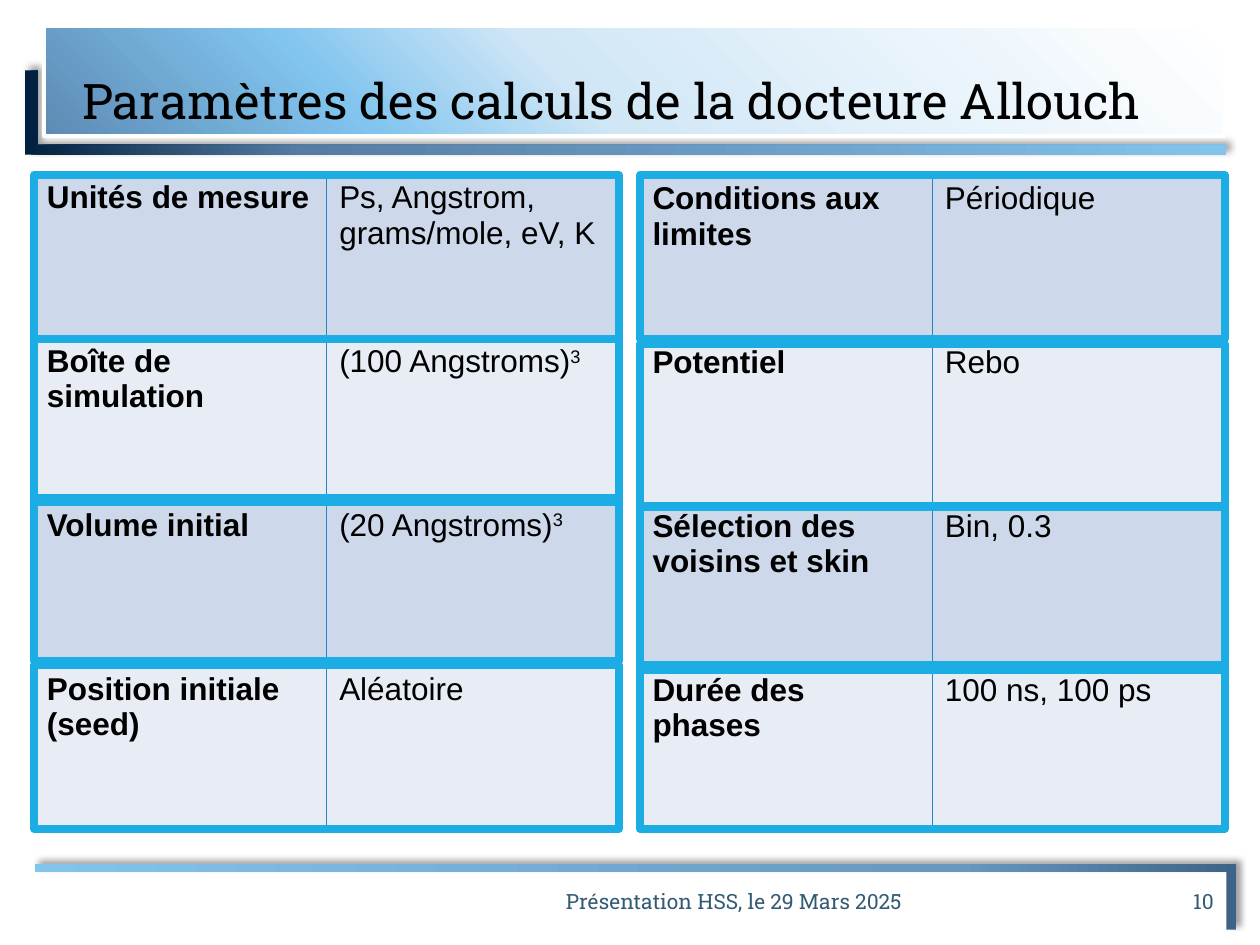
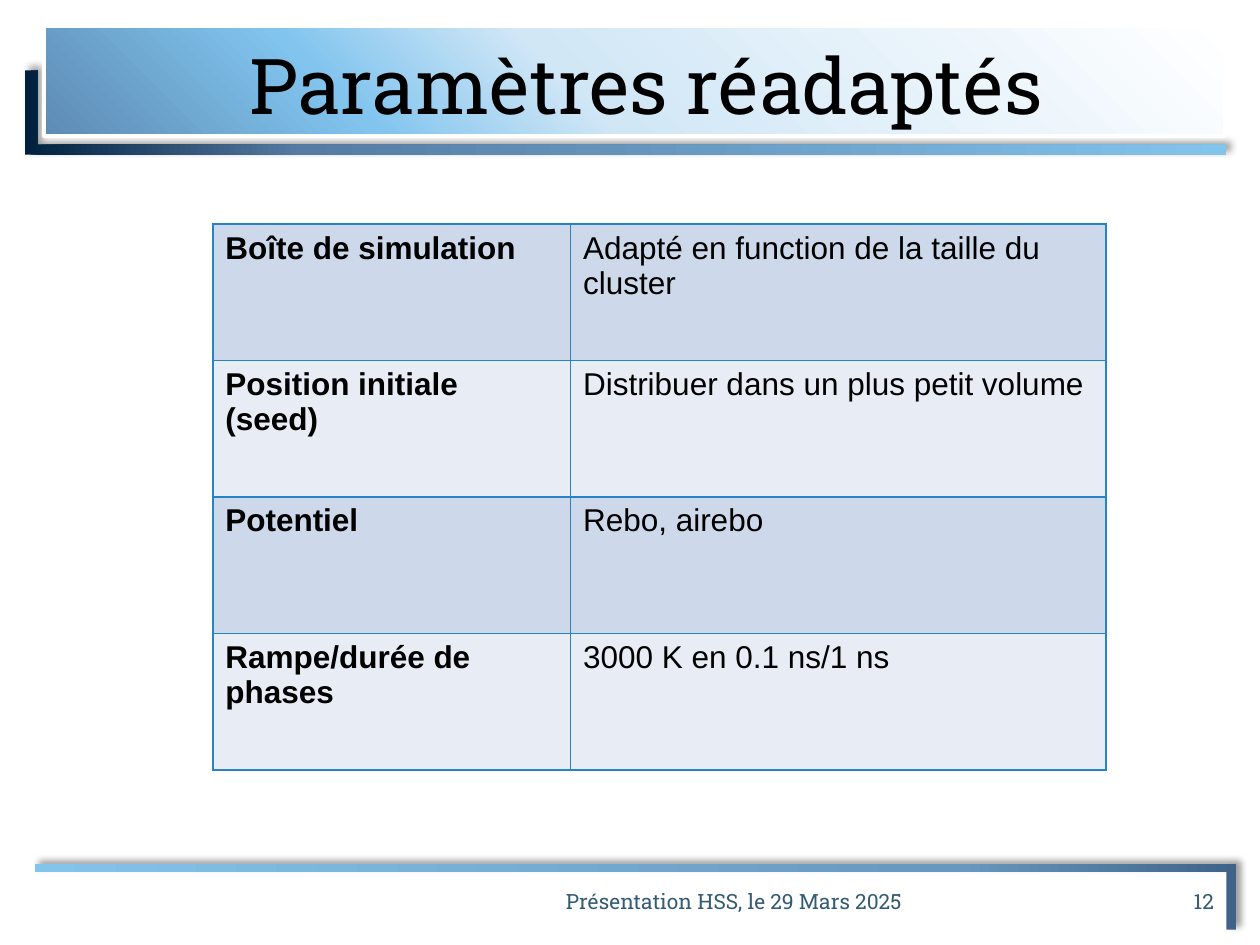
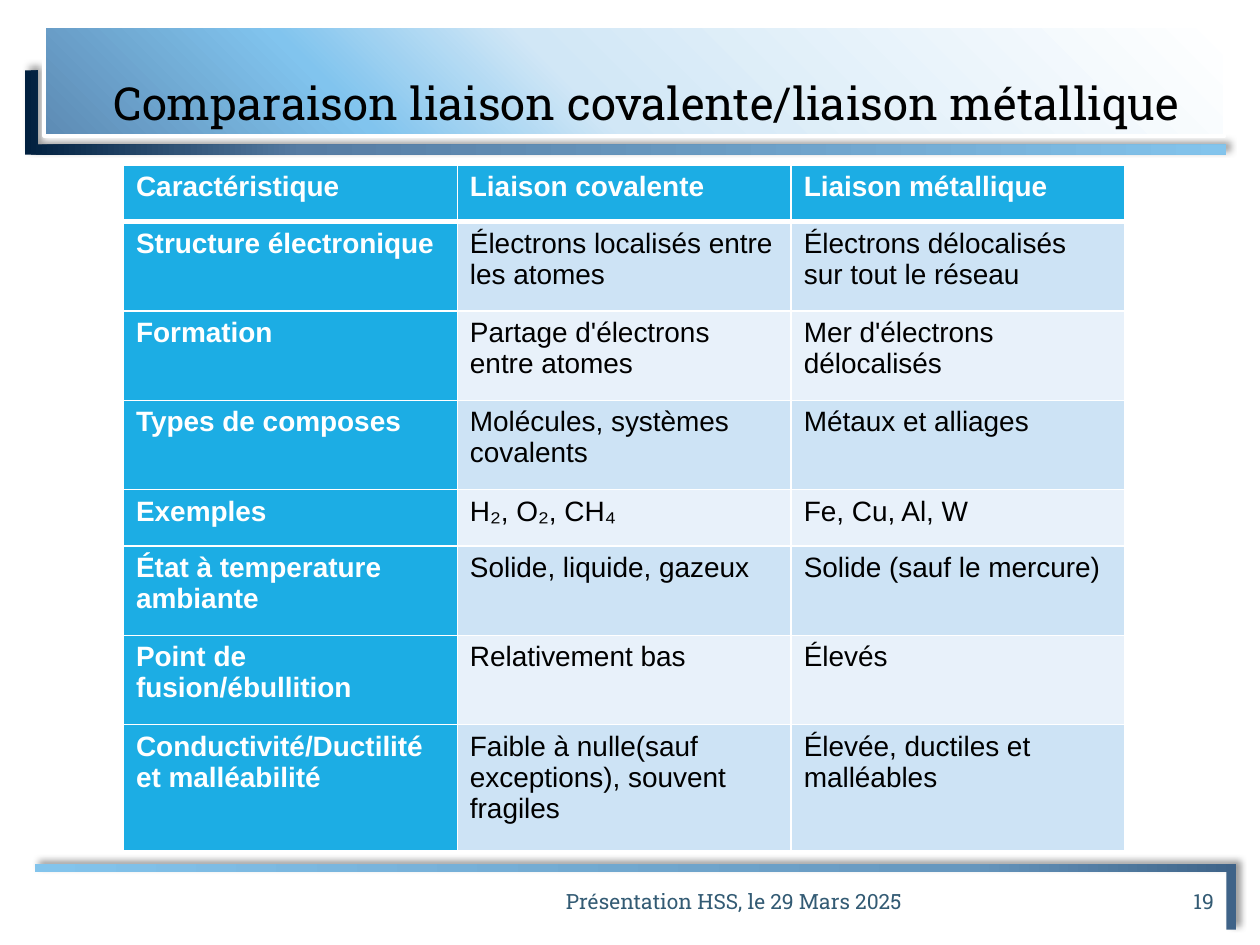
from lxml.etree import SubElement
from pptx import Presentation
from pptx.dml.color import RGBColor
from pptx.enum.shapes import MSO_SHAPE as Preset
from pptx.enum.text import MSO_ANCHOR as Anchor, MSO_AUTO_SIZE as AutoSize, PP_ALIGN as Align
from pptx.oxml.ns import qn
from pptx.util import Cm, Pt

HEADING_FONT = "Roboto Slab"
BODY_FONT = "Arial"
BLACK, WHITE, CYAN = "000000", "FFFFFF", "1CADE4"
FOOTER_COLOR, GRID_COLOR = "335B74", "2683C6"
PARAMETER_BANDS = ("CDD9EA", "E8EDF5")
COMPARISON_BANDS = ("CDE3F5", "E8F1FA")
TITLE_STOPS = ((0, "5D8BB4"), (26, "81C4EE"), (45, "D1E7F6"), (100, WHITE))
TOP_STOPS = ((0, "01203F"), (23, "567CA3"), (100, "83C4EC"))
BOTTOM_STOPS = ((0, "3F6388"), (23, "6798BF"), (100, "83C4EC"))
FOOTER = "Présentation HSS, le 29 Mars 2025"
PARAMETER_WIDTH, PARAMETER_ROW = 11.79, 3.3

CALCULATION_BLOCKS = (
    (0.69, 3.51, (3.53, 6.83, 10.03, 13.41), (
        ("Unités de mesure", "Ps, Angstrom, grams/mole, eV, K"),
        ("Boîte de simulation", ("(100 Angstroms)", "3")),
        ("Volume initial", ("(20 Angstroms)", "3")),
        ("Position initiale (seed)", "Aléatoire"),
    )),
    (12.9, 3.53, (3.53, 6.93, 10.21, 13.41), (
        ("Conditions aux limites", "Périodique"),
        ("Potentiel", "Rebo"),
        ("Sélection des voisins et skin", "Bin, 0.3"),
        ("Durée des phases", "100 ns, 100 ps"),
    )),
)
ADAPTED_ROWS = (
    ("Boîte de simulation", "Adapté en function de la taille du cluster"),
    ("Position initiale (seed)", "Distribuer dans un plus petit volume"),
    ("Potentiel", "Rebo, airebo"),
    ("Rampe/durée de phases", "3000 K en 0.1 ns/1 ns"),
)
COMPARISON_ROWS = (
    ("Caractéristique", "Liaison covalente", "Liaison métallique"),
    ("Structure électronique", "Électrons localisés entre les atomes",
     "Électrons délocalisés sur tout le réseau"),
    ("Formation", "Partage d'électrons entre atomes", "Mer d'électrons délocalisés"),
    ("Types de composes", "Molécules, systèmes covalents", "Métaux et alliages"),
    ("Exemples", "H₂, O₂, CH₄", "Fe, Cu, Al, W"),
    ("État à temperature ambiante", "Solide, liquide, gazeux", "Solide (sauf le mercure)"),
    ("Point de fusion/ébullition", "Relativement bas", "Élevés"),
    ("Conductivité/Ductilité et malléabilité",
     "Faible à nulle(sauf exceptions), souvent fragiles", "Élevée, ductiles et malléables"),
)


def rgb(value):
    """Turn a hex string into a colour."""
    return RGBColor.from_string(value)


def write_text(frame, text, size, color=BLACK, font=BODY_FONT, bold=False, align=Align.LEFT,
               superscript="", indent=0, line_spacing=None, space_after=0):
    """Write one formatted paragraph, with an optional superscript at its end."""
    paragraph = frame.paragraphs[0]
    paragraph.alignment = align
    paragraph.line_spacing = line_spacing
    paragraph.space_after = Pt(space_after)
    if indent:
        paragraph._p.get_or_add_pPr().set("marL", str(Cm(indent)))
    for part, baseline in ((text, 0), (superscript, 30000)):
        if not part:
            continue
        run = paragraph.add_run()
        run.text = part
        run.font.size, run.font.name, run.font.bold = Pt(size), font, bold
        run.font.color.rgb = rgb(color)
        if baseline:
            run._r.get_or_add_rPr().set("baseline", str(baseline))


def fill_gradient(shape, stops, angle=0):
    """Fill a shape with a linear gradient of (percent, colour) stops."""
    shape.fill.gradient()
    shape.fill.gradient_angle = angle
    stop_list = shape.element.spPr.find(qn("a:gradFill")).find(qn("a:gsLst"))
    for stop in list(stop_list):
        stop_list.remove(stop)
    for percent, color in stops:
        stop = SubElement(stop_list, qn("a:gs"), pos=str(percent * 1000))
        SubElement(stop, qn("a:srgbClr"), val=color)


def add_shadow(shape):
    """Give a shape a soft shadow towards the upper right."""
    shape.shadow.inherit = False
    effects = shape.element.spPr.find(qn("a:effectLst"))
    shadow = SubElement(effects, qn("a:outerShdw"), blurRad=str(Pt(4)), dist=str(Pt(3)),
                        dir=str(315 * 60000), algn="bl", rotWithShape="0")
    color = SubElement(shadow, qn("a:srgbClr"), val=BLACK)
    SubElement(color, qn("a:alpha"), val="40000")


def add_corner(slide, left, top, height, stops, flipped=False):
    """Draw an L-shaped band and move it to the layout of the slide."""
    corner = slide.shapes.add_shape(Preset.CORNER, Cm(left), Cm(top), Cm(24.21), Cm(height))
    corner.adjustments[0], corner.adjustments[1] = 0.12, 0.15
    fill_gradient(corner, stops)
    corner.line.fill.background()
    add_shadow(corner)
    if flipped:
        transform = corner.element.spPr.find(qn("a:xfrm"))
        transform.set("flipH", "1")
        transform.set("flipV", "1")
    slide.slide_layout.shapes.element.append(corner.element)


def add_label(slide, text, left, width, align):
    """Add a piece of the footer."""
    box = slide.shapes.add_textbox(Cm(left), Cm(17.65), Cm(width), Cm(1.02))
    box.text_frame.word_wrap = True
    box.text_frame.vertical_anchor = Anchor.MIDDLE
    write_text(box.text_frame, text, 12, FOOTER_COLOR, HEADING_FONT, align=align, space_after=6)


def add_titled_slide(presentation, title, size, number, align=Align.CENTER, line_spacing=None):
    """Add a slide with its title band and footer."""
    slide = presentation.slides.add_slide(presentation.slide_layouts[5])
    banner = slide.shapes.title
    banner.left, banner.top, banner.width, banner.height = Cm(0.89), Cm(0.53), Cm(23.8), Cm(2.21)
    fill_gradient(banner, TITLE_STOPS, 45)
    banner.line.color.rgb = rgb(WHITE)
    banner.line.width = Pt(2)
    frame = banner.text_frame
    frame.auto_size = AutoSize.NONE
    frame.word_wrap = True
    frame.vertical_anchor = Anchor.BOTTOM
    write_text(frame, title, size, font=HEADING_FONT, align=align, indent=0.51,
               line_spacing=line_spacing)
    add_label(slide, FOOTER, 7.29, 15.01, Align.CENTER)
    add_label(slide, str(number), 22.71, 2.01, Align.RIGHT)
    return slide


def set_borders(cell, color, top=1, bottom=1):
    """Draw the four borders of a cell."""
    properties = cell._tc.get_or_add_tcPr()
    for side, width in (("L", 1), ("R", 1), ("T", top), ("B", bottom)):
        line = SubElement(properties, qn(f"a:ln{side}"), w=str(Pt(width)))
        fill = SubElement(line, qn("a:solidFill"))
        SubElement(fill, qn("a:srgbClr"), val=color)


def add_grid(slide, rows, left, top, widths, heights, bands, size=18, border=GRID_COLOR,
             header=False):
    """Add a banded table with a bold first column and an optional header row."""
    table = slide.shapes.add_table(len(rows), len(widths), Cm(left), Cm(top),
                                   Cm(sum(widths)), Cm(sum(heights))).table
    table.first_row = header
    table.horz_banding = False
    for column, width in zip(table.columns, widths):
        column.width = Cm(width)
    for row_index, (values, height) in enumerate(zip(rows, heights)):
        table.rows[row_index].height = Cm(height)
        for column_index, value in enumerate(values):
            cell = table.cell(row_index, column_index)
            heading = column_index == 0 or header and row_index == 0
            accent = header and heading
            set_borders(cell, border, top=3 if header and row_index == 1 else 1,
                        bottom=3 if header and row_index == 0 else 1)
            cell.fill.solid()
            cell.fill.fore_color.rgb = rgb(CYAN if accent else bands[(row_index - header) % 2])
            text, superscript = value if isinstance(value, tuple) else (value, "")
            write_text(cell.text_frame, text, size, WHITE if accent else BLACK,
                       bold=heading, superscript=superscript)


def add_frame(slide, left, top):
    """Outline one row of a parameter table."""
    frame = slide.shapes.add_shape(Preset.RECTANGLE, Cm(left), Cm(top),
                                   Cm(PARAMETER_WIDTH), Cm(PARAMETER_ROW))
    frame.shadow.inherit = False
    frame.fill.background()
    frame.line.color.rgb = rgb(CYAN)
    frame.line.width = Pt(4.5)


def main():
    """Build the three slides."""
    presentation = Presentation()
    presentation.slide_width, presentation.slide_height = Cm(25.4), Cm(19.05)

    calculations = add_titled_slide(presentation, "Paramètres des calculs de la docteure Allouch",
                                    28, 10, Align.LEFT, 0.9)
    add_corner(calculations, 0.51, 1.42, 1.7, TOP_STOPS)
    add_corner(calculations, 0.71, 17.42, 1.32, BOTTOM_STOPS, flipped=True)
    for left, top, frame_tops, rows in CALCULATION_BLOCKS:
        add_grid(calculations, rows, left, top, [PARAMETER_WIDTH / 2] * 2,
                 [PARAMETER_ROW] * len(rows), PARAMETER_BANDS)
        for frame_top in frame_tops:
            add_frame(calculations, left, frame_top)

    adapted = add_titled_slide(presentation, "Paramètres réadaptés", 44, 12)
    add_grid(adapted, ADAPTED_ROWS, 4.29, 4.52, [7.21, 10.8], [2.75] * 4, PARAMETER_BANDS)

    comparison = add_titled_slide(presentation, "Comparaison liaison covalente/liaison métallique",
                                  26, 19)
    add_grid(comparison, COMPARISON_ROWS, 2.49, 3.33, [6.73] * 3,
             [1.14, 1.8, 1.8, 1.8, 1.14, 1.8, 1.8, 2.54], COMPARISON_BANDS,
             size=16, border=WHITE, header=True)

    presentation.save("out.pptx")


if __name__ == "__main__":
    main()
